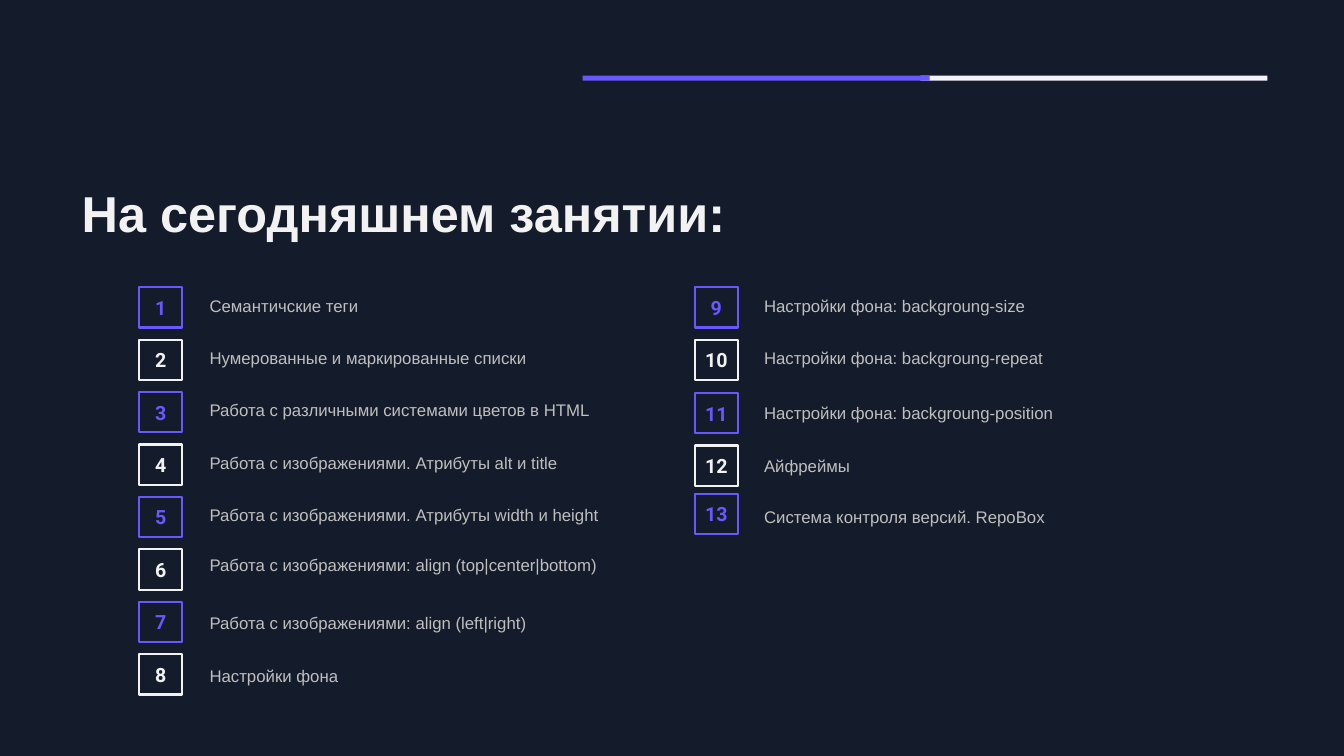
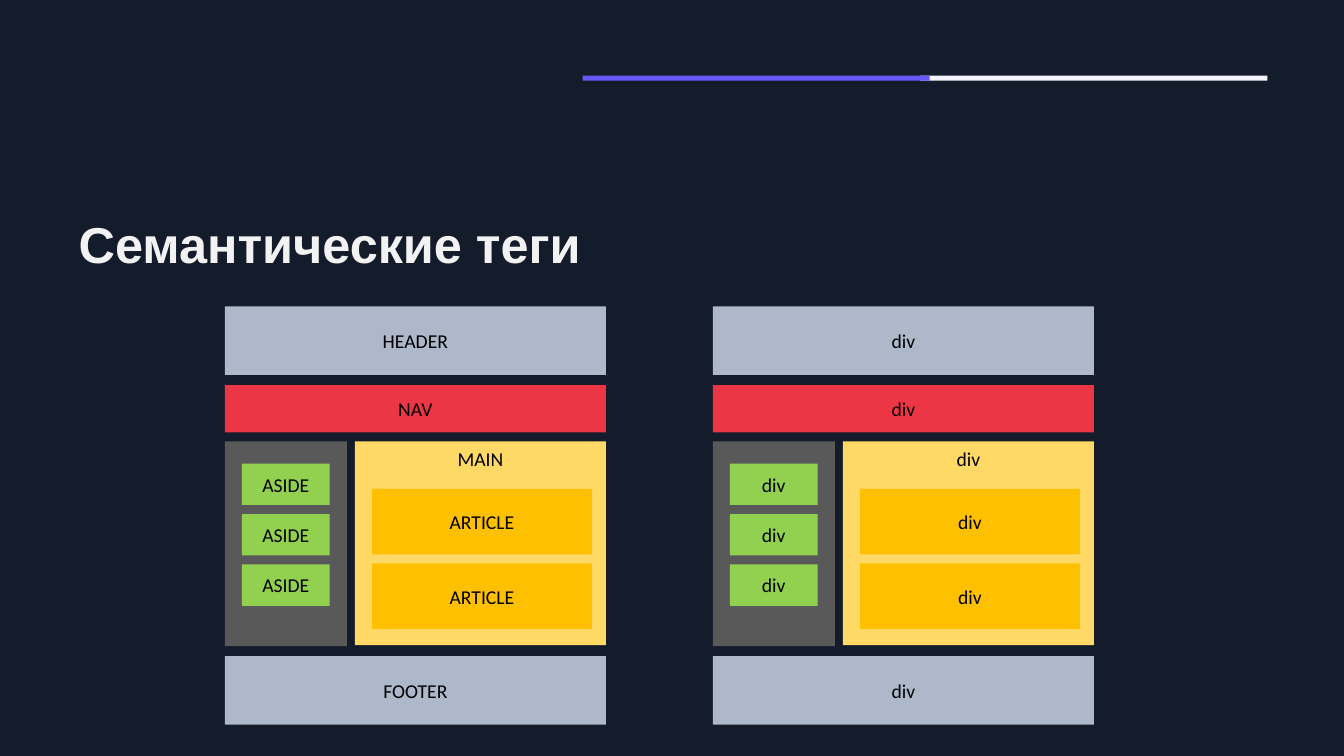
from pptx import Presentation
from pptx.dml.color import RGBColor
from pptx.enum.shapes import MSO_SHAPE
from pptx.enum.text import MSO_ANCHOR, MSO_AUTO_SIZE, PP_ALIGN
from pptx.util import Pt

PX = 9144  # 100 px to the inch

COLORS = {
    "background": "141B2A", "light": "F2F2F2", "violet": "6759FE",
    "white": "F4F3FF", "grey": "BFBFBF", "black": "000000",
    "blue": "ADB9CA", "red": "ED3645", "dark": "595959",
    "yellow": "FFD966", "green": "92D050", "orange": "FFC000",
}

# Agenda: text and its vertical shift, number box shift
AGENDA_TITLE = "На сегодняшнем занятии:"
AGENDA_COLUMNS = [
    (138, 198, [
        ("Семантичские теги", 0, 0),
        ("Нумерованные и маркированные списки", 0, 0),
        ("Работа с различными системами цветов в HTML", 0, 0),
        ("Работа с изображениями. Атрибуты alt и title", 0, 0),
        ("Работа с изображениями. Атрибуты width и height", 0, 0),
        ("Работа с изображениями: align (top|center|bottom)", -3, 0),
        ("Работа с изображениями: align (left|right)", 3, 0),
        ("Настройки фона", 4, 0),
    ]),
    (689, 748, [
        ("Настройки фона: backgroung-size", 0, 0),
        ("Настройки фона: backgroung-repeat", 0, 0),
        ("Настройки фона: backgroung-position", 3, 1),
        ("Айфреймы", 3, 1),
        ("Система контроля версий. RepoBox", 2, -3),
    ]),
]
AGENDA_TOP, AGENDA_PITCH = 285, 52

# Page layout: label, colour, box within the wireframe
TAGS_TITLE = "Семантические теги"
ZONES = [
    ("HEADER", "blue", (0, 0, 378, 68)),
    ("NAV", "red", (0, 78, 378, 47)),
    ("", "dark", (0, 134, 121, 203)),
    ("MAIN", "yellow", (129, 134, 249, 202)),
    ("FOOTER", "blue", (0, 347, 378, 68)),
]
ZONES += [("ASIDE", "green", (17, 156 + 50 * row, 87, 41)) for row in range(3)]
ZONES += [("ARTICLE", "orange", (146, 181 + 74 * row, 218, 65)) for row in range(2)]
WIREFRAME_TOP = 304
WIREFRAMES = [(223, None), (707, "div")]  # left, label replacing every tag


def color(name):
    return RGBColor.from_string(COLORS[name])


def place(box):
    return [value * PX for value in box]


def write(shape, text, size, font, color_name, bold=False,
          align=PP_ALIGN.LEFT, anchor=MSO_ANCHOR.TOP, wrap=True):
    frame = shape.text_frame
    frame.word_wrap = wrap
    frame.auto_size = MSO_AUTO_SIZE.NONE
    frame.vertical_anchor = anchor
    paragraph = frame.paragraphs[0]
    paragraph.alignment = align
    run = paragraph.add_run()
    run.text = text
    run.font.size = Pt(size)
    run.font.name = font
    run.font.bold = bold
    run.font.color.rgb = color(color_name)
    return paragraph


def add_box(shapes, box, fill=None, line=None):
    shape = shapes.add_shape(MSO_SHAPE.RECTANGLE, *place(box))
    shape.shadow.inherit = False
    if fill:
        shape.fill.solid()
        shape.fill.fore_color.rgb = color(fill)
    else:
        shape.fill.background()
    if line:
        shape.line.color.rgb = color(line)
        shape.line.width = Pt(1.5)
    else:
        shape.line.fill.background()
    return shape


def add_slide(presentation, title, title_box):
    slide = presentation.slides.add_slide(presentation.slide_layouts[5])
    heading = slide.shapes.title
    heading.left, heading.top, heading.width, heading.height = place(title_box)
    write(heading, title, 36, "Arial", "light", bold=True).line_spacing = 0.9
    # Two-tone band
    add_box(slide.shapes, (913, 75, 344, 5), "white")
    add_box(slide.shapes, (578, 75, 344, 5), "violet")
    return slide


def add_agenda(presentation):
    shapes = add_slide(presentation, AGENDA_TITLE, (71, 182, 850, 66)).shapes
    number = 0
    for box_left, text_left, items in AGENDA_COLUMNS:
        for row, (text, text_shift, box_shift) in enumerate(items):
            number += 1
            top = AGENDA_TOP + row * AGENDA_PITCH
            accent = "violet" if number % 2 else "light"
            badge = add_box(shapes, (box_left, top + box_shift, 43, 40), line=accent)
            write(badge, str(number), 14, "Roboto", accent, bold=True,
                  align=PP_ALIGN.CENTER, anchor=MSO_ANCHOR.MIDDLE, wrap=False)
            label = shapes.add_textbox(*place((text_left, top + 3 + text_shift, 426, 34)))
            write(label, text, 12, "Arial", "grey")


def add_tags(presentation):
    slide = add_slide(presentation, TAGS_TITLE, (68, 213, 1189, 84))
    for wireframe_left, replacement in WIREFRAMES:
        group = slide.shapes.add_group_shape()
        for tag, fill, (left, top, width, height) in ZONES:
            box = (wireframe_left + left, WIREFRAME_TOP + top, width, height)
            zone = add_box(group.shapes, box, fill)
            if tag:
                anchor = MSO_ANCHOR.TOP if tag == "MAIN" else MSO_ANCHOR.MIDDLE
                write(zone, replacement or tag, 14, "Calibri", "black",
                      align=PP_ALIGN.CENTER, anchor=anchor)


def main():
    presentation = Presentation()
    presentation.slide_width, presentation.slide_height = place((1333, 750))
    background = presentation.slide_master.background.fill
    background.solid()
    background.fore_color.rgb = color("background")
    add_agenda(presentation)
    add_tags(presentation)
    presentation.save("out.pptx")


if __name__ == "__main__":
    main()
